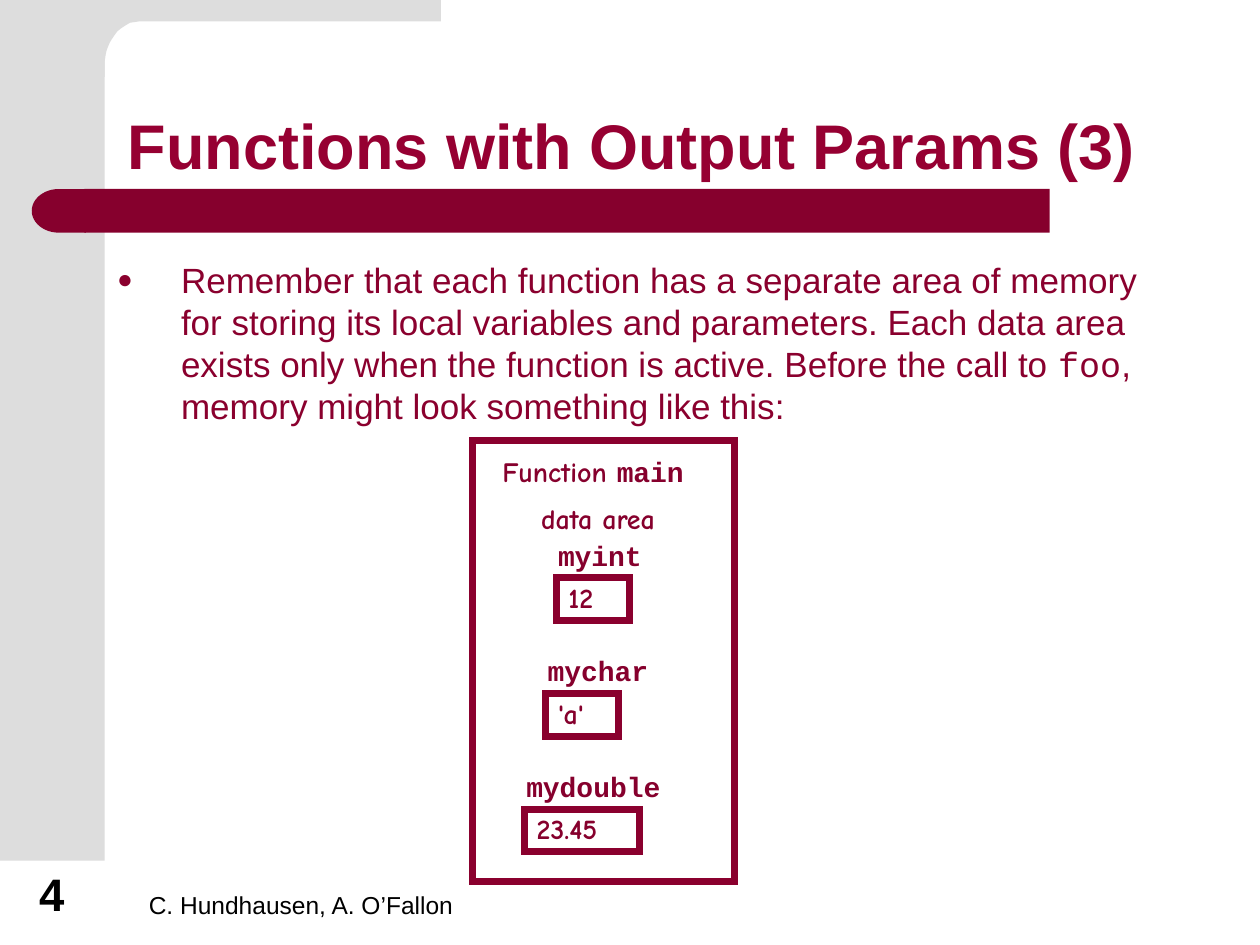
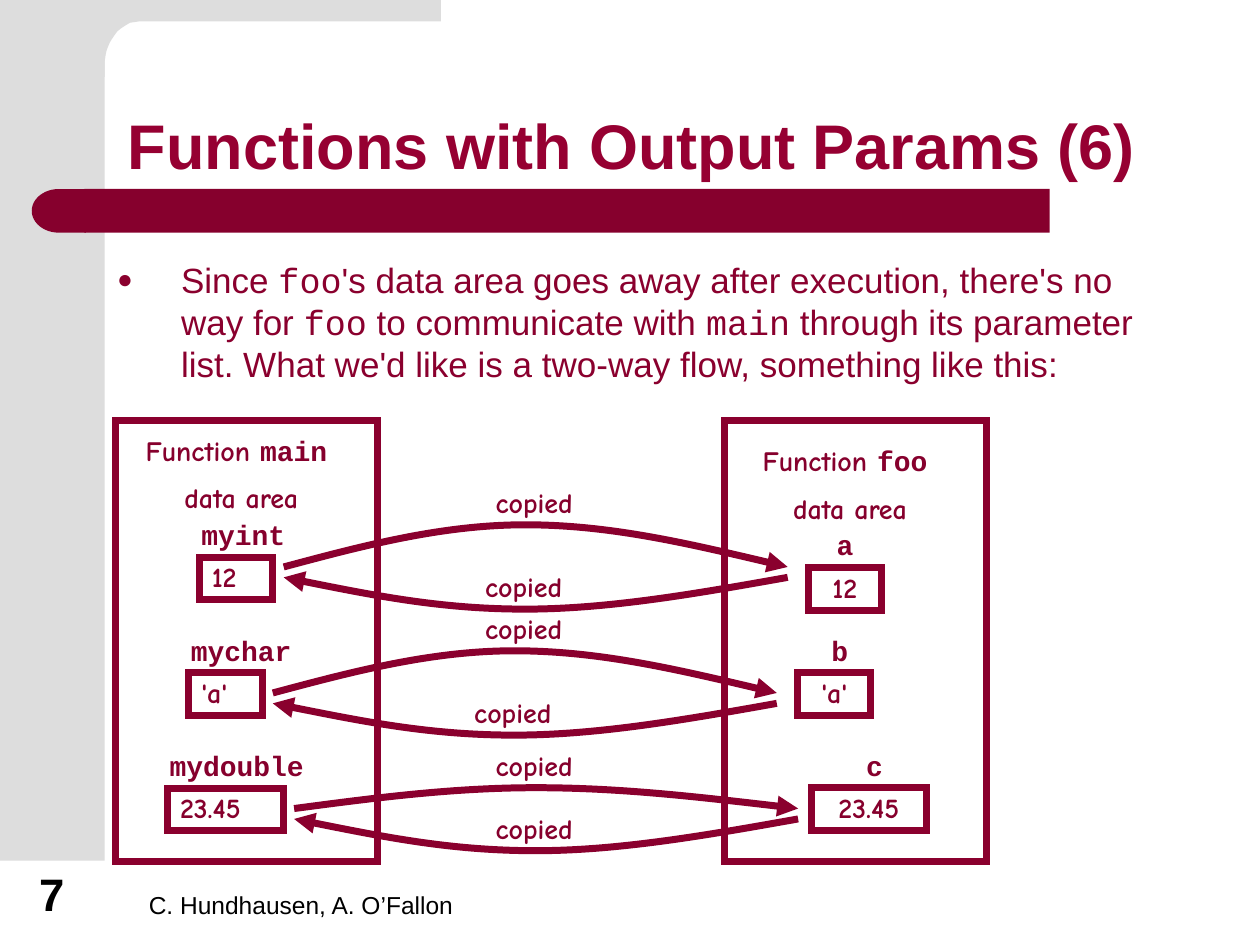
from lxml.etree import SubElement
from pptx import Presentation
from pptx.dml.color import RGBColor
from pptx.enum.shapes import MSO_SHAPE
from pptx.enum.text import MSO_ANCHOR, PP_ALIGN
from pptx.oxml.ns import qn
from pptx.util import Cm, Pt

WINE, INK, TITLE, GREY, BLACK = "8A002E", "86002D", "960032", "DDDDDD", "000000"
ARIAL, COMIC, MONO = "Arial", "Comic Neue", "Courier New"
LABEL = {"size": Pt(16), "bold": True}
rgb = RGBColor.from_string


def write(s, paragraphs, font, color, anchor=MSO_ANCHOR.TOP, **layout):
    tf = s.text_frame
    for name, value in {"word_wrap": True, "vertical_anchor": anchor,
                        "margin_left": Cm(0.25), "margin_right": Cm(0.25),
                        "margin_top": Cm(0.13), "margin_bottom": Cm(0.13)}.items():
        setattr(tf, name, value)
    for i, runs in enumerate(paragraphs):
        p = tf.add_paragraph() if i else tf.paragraphs[0]
        for name, value in {"alignment": PP_ALIGN.LEFT, "space_before": Pt(10 if i else 0), **layout}.items():
            setattr(p, name, value)
        for text, face in runs:
            r = p.add_run()
            r.text = text
            for name, value in {**font, "name": face}.items():
                setattr(r.font, name, value)
            r.font.color.rgb = rgb(color)


def paint(s, fill=None, line=None, curved=slice(0, 0)):
    segments = list(s._element.iter(qn("a:lnTo")))[curved]
    for i in range(0, len(segments), 3):
        segments[i].tag = qn("a:cubicBezTo")
        for extra in segments[i + 1:i + 3]:
            segments[i].append(extra[0])
            extra.getparent().remove(extra)
    s.shadow.inherit = False
    if fill:
        s.fill.solid()
        s.fill.fore_color.rgb = rgb(fill)
    else:
        s.fill.background()
    if line:
        s.line.color.rgb = rgb(line)
        s.line.width = Pt(4)
        ln = s._element.spPr.find(qn("a:ln"))
        SubElement(ln, qn("a:miter"), lim="800000")
        return ln
    s.line.fill.background()


main_vars = [
    ("myint", 1.48, 1.91, 2.54, "12", 0.21, 1.48),
    ("mychar", 1.27, 4.24, 2.96, "'a'", 0.21, 1.48),
    ("mydouble", 0.84, 6.57, 3.81, "23.45", 0.21, 2.33),
]
foo_vars = [
    ("a", 1.48, 2.12, 1.91, "12", 0.21, 1.48),
    ("b", 1.27, 4.24, 2.12, "'a'", 0.21, 1.48),
    ("c", 1.97, 6.56, 2.12, "23.45", -0.22, 2.33),
]
slides = [
    {
        "title": "Functions with Output Params (3)",
        "number": "4",
        "body": [
            ("Remember that each function has a separate area of memory for storing its local variables "
             "and parameters. Each data area exists only when the function is active. Before the call to ", ARIAL),
            ("foo", MONO),
            (", memory might look something like this:", ARIAL),
        ],
        "panels": [("main", 9.52, 8.89, 0.21, main_vars, PP_ALIGN.LEFT)],
        "flows": [],
    },
    {
        "title": "Functions with Output Params (6)",
        "number": "7",
        "body": [
            ("Since ", ARIAL),
            ("foo", MONO),
            ("'s data area goes away after execution, there's no way for ", ARIAL),
            ("foo", MONO),
            (" to communicate with ", ARIAL),
            ("main", MONO),
            (" through its parameter list. What we'd like is a two-way flow, something like this:", ARIAL),
        ],
        "panels": [
            ("main", 2.33, 8.47, 0.21, main_vars, PP_ALIGN.LEFT),
            ("foo", 14.6, 8.47, 0.42, foo_vars, PP_ALIGN.CENTER),
        ],
        "flows": [
            (5.72, 11.43, -0.85, "tailEnd", 9.74, 9.74),
            (5.72, 11.64, 0.64, "headEnd", 9.53, 11.43),
            (5.5, 13.97, -0.85, "tailEnd", 9.53, 12.28),
            (5.5, 14.18, 0.64, "headEnd", 9.31, 13.97),
            (5.93, 16.3, -0.42, "tailEnd", 9.74, 15.03),
            (5.93, 16.51, 0.64, "headEnd", 9.74, 16.3),
        ],
    },
]
arc = [(1.59, 0.5), (3.18, 1), (4.87, 1), (6.56, 1), (8.36, 0.5), (10.16, 0)]
corner = [
    (8.89, 0), (8.89, 0.43), (2.95, 0.43), (2.82, 0.43), (2.62, 0.46),
    (2.54, 0.51), (2.44, 0.56), (2.36, 0.64),
    (2.29, 0.74), (2.21, 0.84), (2.18, 0.94),
    (2.13, 1.04), (2.13, 1.14), (2.11, 1.24),
    (2.11, 1.55), (1.27, 1.55),
]

prs = Presentation()
prs.slide_width, prs.slide_height = Cm(25.4), Cm(19.05)

for data in slides:
    slide = prs.slides.add_slide(prs.slide_layouts[5])
    shapes = slide.shapes

    for kind, color, x, y, w, h, turn in [
        (MSO_SHAPE.RECTANGLE, GREY, 0, 0, 2.11, 17.35, 0),
        (MSO_SHAPE.RECTANGLE, INK, 1.7, 3.81, 19.46, 0.88, 0),
        (MSO_SHAPE.FLOWCHART_DELAY, INK, 0.64, 3.81, 1.09, 0.88, 180),
    ]:
        s = shapes.add_shape(kind, Cm(x), Cm(y), Cm(w), Cm(h))
        s.rotation = turn
        paint(s, fill=color)
    ff = shapes.build_freeform(Cm(1.27), 0)
    ff.add_line_segments([(Cm(x), Cm(y)) for x, y in corner])
    paint(ff.convert_to_shape(), fill=GREY, curved=slice(5, 14))

    s = shapes.title
    s.left, s.top, s.width, s.height = Cm(2.33), Cm(1.06), Cm(21.62), Cm(2.77)
    write(s, [[(data["title"], ARIAL)]], {"size": Pt(36), "bold": True}, TITLE,
          MSO_ANCHOR.BOTTOM, line_spacing=0.9)

    for text, x, w, h, align, font in [
        ("C. Hundhausen, A. O’Fallon", 2.75, 9.53, 1.31, PP_ALIGN.LEFT, {"size": Pt(14)}),
        (data["number"], 0.23, 1.63, 1.34, PP_ALIGN.CENTER, {"size": Pt(26), "bold": True}),
    ]:
        s = shapes.add_textbox(Cm(x), Cm(17.35), Cm(w), Cm(h))
        write(s, [[(text, ARIAL)]], font, BLACK, MSO_ANCHOR.BOTTOM, alignment=align)

    s = shapes.add_textbox(Cm(2.11), Cm(5.08), Cm(21.36), Cm(10.34))
    pPr = s.text_frame.paragraphs[0]._p.get_or_add_pPr()
    pPr.set("marL", str(Cm(1.29)))
    pPr.set("indent", str(-Cm(1.29)))
    SubElement(SubElement(pPr, qn("a:buClr")), qn("a:srgbClr"), val=WINE)
    SubElement(pPr, qn("a:buSzPct"), val="75000")
    SubElement(pPr, qn("a:buFont"), typeface=ARIAL)
    SubElement(pPr, qn("a:buChar"), char="●")
    write(s, [data["body"]], {"size": Pt(20)}, WINE)

    for function, left, top, head_y, variables, align in data["panels"]:
        s = shapes.add_textbox(Cm(left + 0.21), Cm(top + head_y), Cm(4.65), Cm(1.83))
        write(s, [[("Function ", COMIC), (function, MONO), (" ", COMIC)], [("data area", COMIC)]], LABEL, INK,
              alignment=PP_ALIGN.CENTER, line_spacing=0.9)
        s = shapes.add_shape(MSO_SHAPE.RECTANGLE, Cm(left), Cm(top), Cm(5.29), Cm(8.89))
        paint(s, line=WINE)
        for name, x, y, w, value, shift, value_w in variables:
            s = shapes.add_shape(MSO_SHAPE.RECTANGLE, Cm(left + x + shift), Cm(top + y + 0.85),
                                 Cm(value_w), Cm(0.86))
            paint(s, line=WINE)
            write(s, [[(value, COMIC)]], LABEL, INK, alignment=align, line_spacing=0.9)
            s = shapes.add_textbox(Cm(left + x), Cm(top + y), Cm(w), Cm(0.86))
            write(s, [[(name, MONO)]], LABEL, INK, alignment=align, line_spacing=0.9)

    for x, y, bend, arrow, label_x, label_y in data["flows"]:
        s = shapes.add_textbox(Cm(label_x), Cm(label_y), Cm(3.18), Cm(0.86))
        write(s, [[("copied", COMIC)]], LABEL, INK, line_spacing=0.9)
        ff = shapes.build_freeform(Cm(x), Cm(y))
        ff.add_line_segments([(Cm(x + dx), Cm(y + bend * dy)) for dx, dy in arc], close=False)
        ln = paint(ff.convert_to_shape(), line=WINE, curved=slice(0, 6))
        SubElement(ln, qn("a:" + arrow), type="triangle")

prs.save("out.pptx")
